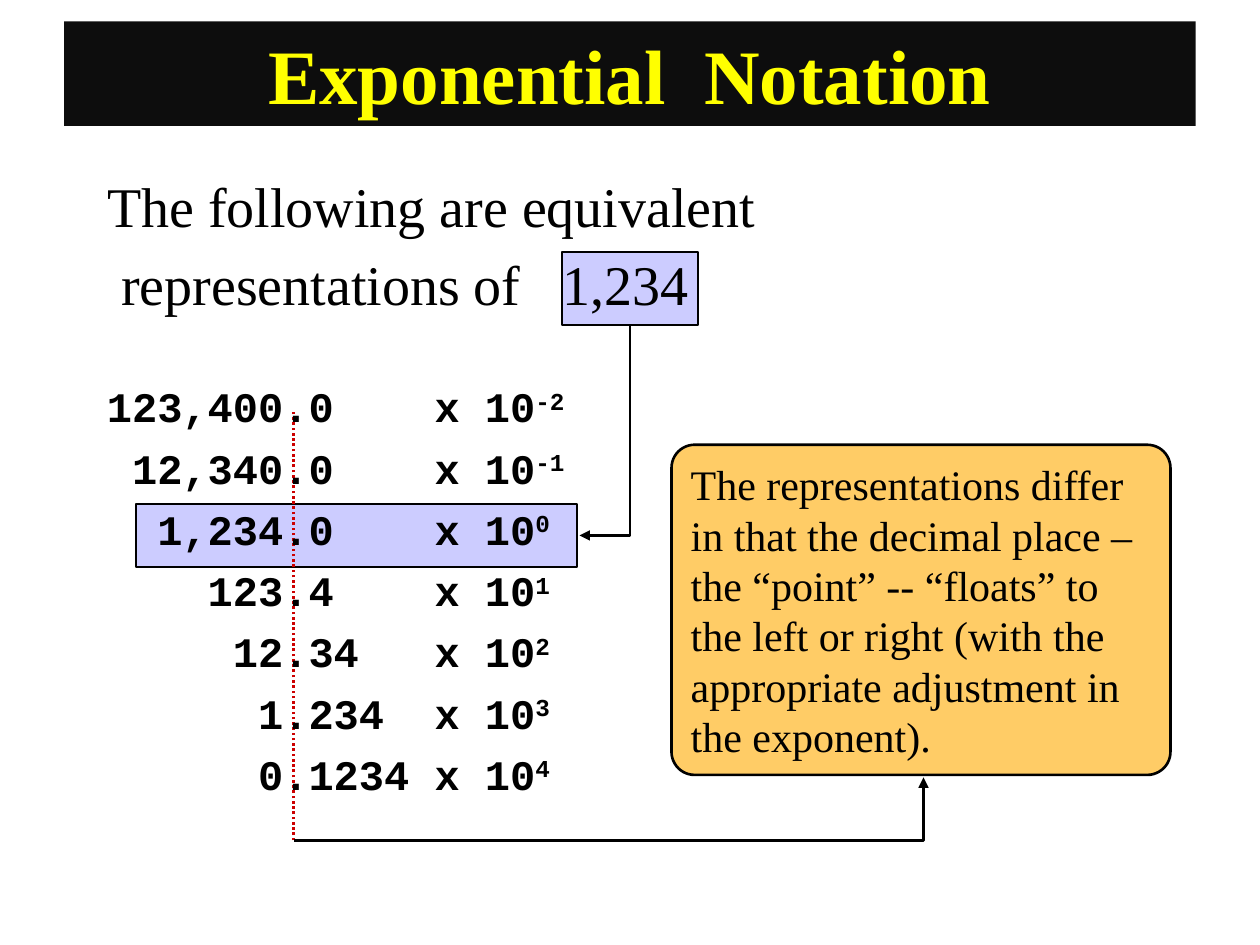
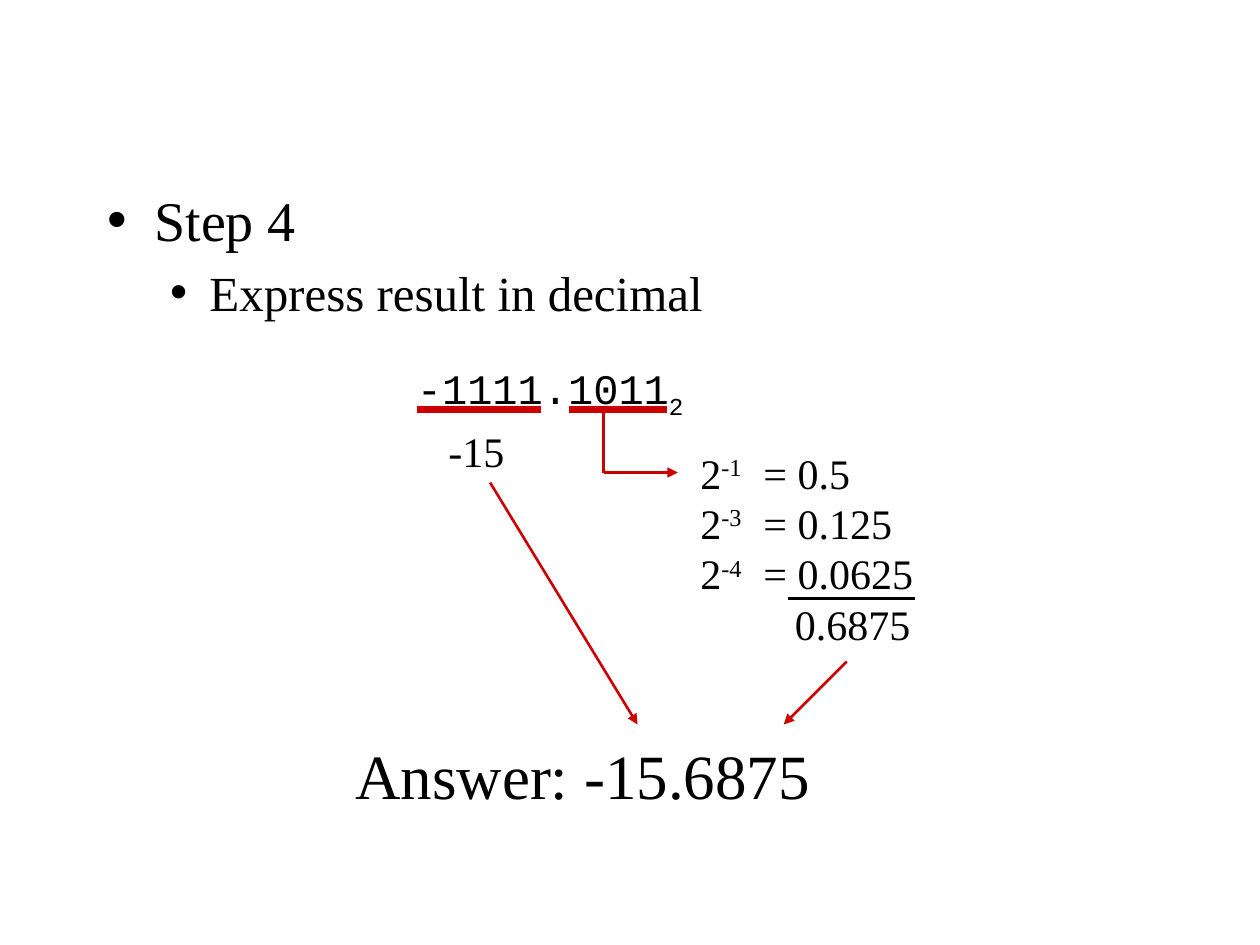
from dataclasses import dataclass

from lxml import etree
from pptx import Presentation
from pptx.dml.color import RGBColor
from pptx.enum.dml import MSO_LINE
from pptx.enum.shapes import MSO_CONNECTOR, MSO_SHAPE
from pptx.enum.text import MSO_ANCHOR, MSO_AUTO_SIZE, PP_ALIGN
from pptx.oxml.ns import qn
from pptx.util import Inches, Pt

RECTANGLE = MSO_SHAPE.RECTANGLE
ROUNDED = MSO_SHAPE.ROUNDED_RECTANGLE
STRAIGHT = MSO_CONNECTOR.STRAIGHT
DOTTED = MSO_LINE.ROUND_DOT
MIDDLE = MSO_ANCHOR.MIDDLE
TOP = MSO_ANCHOR.TOP
CENTER = PP_ALIGN.CENTER
LEFT = PP_ALIGN.LEFT
FIXED = MSO_AUTO_SIZE.NONE
SUPERSCRIPT = 30
SUBSCRIPT = -25


@dataclass(frozen=True)
class Theme:
    """Colours, fonts and type sizes shared by the slides."""

    ink: str = "000000"
    band: str = "0D0D0D"
    title: str = "FFFF00"
    highlight: str = "CCCCFF"
    callout: str = "FFCC66"
    accent: str = "CC0000"
    serif: str = "Times New Roman"
    mono: str = "Courier New"
    title_size: int = 44
    answer_size: int = 36
    body_size: int = 32
    detail_size: int = 28
    note_size: int = 24
    thin: float = 1.5
    thick: float = 4.5


THEME = Theme()


def color(value):
    """Turn a hex string into a colour."""
    return RGBColor.from_string(value)


def place(shape, box):
    """Move and size a shape to a box given in inches."""
    shape.left, shape.top, shape.width, shape.height = map(Inches, box)


def write_text(frame, rows, size=THEME.note_size, font=THEME.serif, ink=THEME.ink,
               bold=False, align=LEFT, anchor=TOP, wrap=True):
    """Fill a text frame with rows, each a string or a list of (text, baseline)."""
    frame.word_wrap = wrap
    frame.auto_size = FIXED
    frame.vertical_anchor = anchor
    for index, row in enumerate(rows):
        para = frame.add_paragraph() if index else frame.paragraphs[0]
        para.alignment = align
        for text, baseline in [(row, 0)] if isinstance(row, str) else row:
            span = para.add_run()
            span.text = text
            span.font.name = font
            span.font.size = Pt(size)
            span.font.bold = bold
            span.font.color.rgb = color(ink)
            if baseline:
                span._r.get_or_add_rPr().set("baseline", str(baseline * 1000))
    return frame.paragraphs


def add_text(page, box, rows, **style):
    """Add a text box and return its paragraphs."""
    shape = page.shapes.add_textbox(*map(Inches, box))
    return write_text(shape.text_frame, rows, **style)


def add_panel(page, kind, box, fill):
    """Add a filled and outlined shape."""
    panel = page.shapes.add_shape(kind, *map(Inches, box))
    panel.shadow.inherit = False
    panel.fill.solid()
    panel.fill.fore_color.rgb = color(fill)
    style_line(panel, THEME.ink)
    return panel


def style_line(shape, ink, width=THEME.thin, arrow=False):
    """Format an outline, with an optional arrowhead at its end."""
    shape.line.color.rgb = color(ink)
    shape.line.width = Pt(width)
    if arrow:
        outline = shape.element.spPr.find(qn("a:ln"))
        etree.SubElement(outline, qn("a:tailEnd"), type="triangle")


def add_line(page, start, end, ink=THEME.accent, width=THEME.thin, arrow=False):
    """Add a straight connector between two points in inches."""
    line = page.shapes.add_connector(STRAIGHT, *map(Inches, (*start, *end)))
    style_line(line, ink, width, arrow)
    etree.SubElement(line.element.spPr, qn("a:effectLst"))
    return line


def add_bent_arrow(page, *points):
    """Add an open outline through points, ending in an arrowhead."""
    start, *rest = [tuple(map(Inches, point)) for point in points]
    builder = page.shapes.build_freeform(*start)
    builder.add_line_segments(rest, close=False)
    arrow = builder.convert_to_shape()
    arrow.shadow.inherit = False
    arrow.fill.background()
    style_line(arrow, THEME.ink, arrow=True)


def set_bullet(para, mark=None):
    """Give a paragraph a bullet mark, or remove its bullet and indent."""
    properties = para._p.get_or_add_pPr()
    if mark:
        etree.SubElement(properties, qn("a:buChar"), char=mark)
    else:
        properties.set("marL", "0")
        properties.set("indent", "0")
        etree.SubElement(properties, qn("a:buNone"))


def add_title(page, text, box):
    """Format the title placeholder as a dark band."""
    title = page.shapes.title
    place(title, box)
    title.fill.solid()
    title.fill.fore_color.rgb = color(THEME.band)
    write_text(title.text_frame, [text], size=THEME.title_size, ink=THEME.title,
               bold=True, align=CENTER, anchor=MIDDLE)


def add_body(page, rows, box):
    """Fill the body placeholder, bring it forward and return its paragraphs."""
    body = page.placeholders[1]
    place(body, box)
    page.shapes.element.append(body.element)
    return write_text(body.text_frame, rows, size=THEME.body_size)


def add_number_list(page, box):
    """List equal values with their decimal points lined up."""
    numbers = [("123,400", "0"), ("12,340", "0"), ("1,234", "0"), ("123", "4"),
               ("12", "34"), ("1", "234"), ("0", "1234")]
    rows = [[(f"{whole:>7}.{fraction:<5}x 10", 0), (str(power), SUPERSCRIPT)]
            for power, (whole, fraction) in enumerate(numbers, start=-2)]
    for para in add_text(page, box, rows, font=THEME.mono, bold=True):
        para.line_spacing = 0.8
        spacing = etree.SubElement(para._p.get_or_add_pPr(), qn("a:spcBef"))
        etree.SubElement(spacing, qn("a:spcPct"), val="50000")


def add_callout(page, text, box):
    """Add the rounded explanation panel."""
    callout = add_panel(page, ROUNDED, box, THEME.callout)
    callout.adjustments[0] = 0.07
    write_text(callout.text_frame, [text], anchor=MIDDLE)


def add_power_sum(page, box):
    """Add the fraction bits as powers of two with their ruled total."""
    left, top, _, _ = box
    terms = [("-1", "0.5"), ("-3", "0.125"), ("-4", "0.0625")]
    rows = [[("2", 0), (power, SUPERSCRIPT), (f"\t= {value}", 0)]
            for power, value in terms]
    for para in add_text(page, box, [*rows, "\t\t0.6875"]):
        stops = etree.SubElement(para._p.get_or_add_pPr(), qn("a:tabLst"))
        for position in (0.5, 0.75):
            etree.SubElement(stops, qn("a:tab"), pos=str(Inches(position)), algn="l")
    add_line(page, (left + 0.79, top + 1.25), (left + 1.8, top + 1.25), THEME.ink)


def add_binary_number(page, box):
    """Add the binary result with its two parts underlined."""
    left, top, _, _ = box
    add_text(page, box, [[("-1111.1011", 0), ("2", SUBSCRIPT)]], font=THEME.mono)
    for start, end in ((0.1, 1.08), (1.31, 2.08)):
        add_line(page, (left + start, top + 0.42), (left + end, top + 0.42),
                 width=THEME.thick)


def build_notation(deck):
    """Build the slide on exponential notation."""
    page = deck.slides.add_slide(deck.slide_layouts[1])
    for box in ((4.46, 2, 1.08, 0.58), (1.08, 4, 3.5, 0.5)):
        add_panel(page, RECTANGLE, box, THEME.highlight)
    add_title(page, "Exponential  Notation", (0.51, 0.17, 8.98, 0.83))
    point_line = add_line(page, (2.33, 6.67), (2.33, 3.25))
    point_line.line.dash_style = DOTTED
    add_callout(page, "The representations differ in that the decimal place – "
                "the “point” -- “floats” to the left or right (with the "
                "appropriate adjustment in the exponent).", (5.33, 3.53, 3.96, 2.62))
    add_bent_arrow(page, (5, 2.58), (5, 4.25), (4.6, 4.25))
    add_bent_arrow(page, (2.33, 6.67), (7.33, 6.67), (7.33, 6.17))
    for para in add_body(page, ["The following are equivalent",
                                " representations of   1,234"],
                         (0.75, 1.31, 8.5, 4.61)):
        set_bullet(para)
    add_number_list(page, (0.75, 3.05, 4, 3.6))


def build_decimal_result(deck):
    """Build the slide that turns the binary result into decimal."""
    page = deck.slides.add_slide(deck.slide_layouts[1])
    page.shapes.element.remove(page.shapes.title.element)
    _, detail = add_body(page, ["Step 4", "Express result in decimal"],
                         (0.75, 1.42, 8.5, 4.5))
    detail.level = 1
    detail.runs[0].font.size = Pt(THEME.detail_size)
    set_bullet(detail, "•")
    add_binary_number(page, (3.21, 2.83, 2.51, 0.5))
    add_text(page, (3.46, 3.33, 0.65, 0.5), ["-15"], wrap=False)
    add_power_sum(page, (5.46, 3.5, 2.21, 1.7))
    add_line(page, (4.79, 3.25), (4.79, 3.75))
    add_text(page, (2.72, 5.8, 3.81, 0.7), ["Answer: -15.6875"],
             size=THEME.answer_size, wrap=False)
    for start, end in (((4.79, 3.75), (5.38, 3.75)), ((3.89, 3.83), (5.06, 5.75)),
                       ((6.72, 5.25), (6.22, 5.75))):
        add_line(page, start, end, arrow=True)


def main():
    """Build and save the deck."""
    deck = Presentation()
    deck.slide_width, deck.slide_height = Inches(10), Inches(7.5)
    build_notation(deck)
    build_decimal_result(deck)
    deck.save("out.pptx")


if __name__ == "__main__":
    main()
